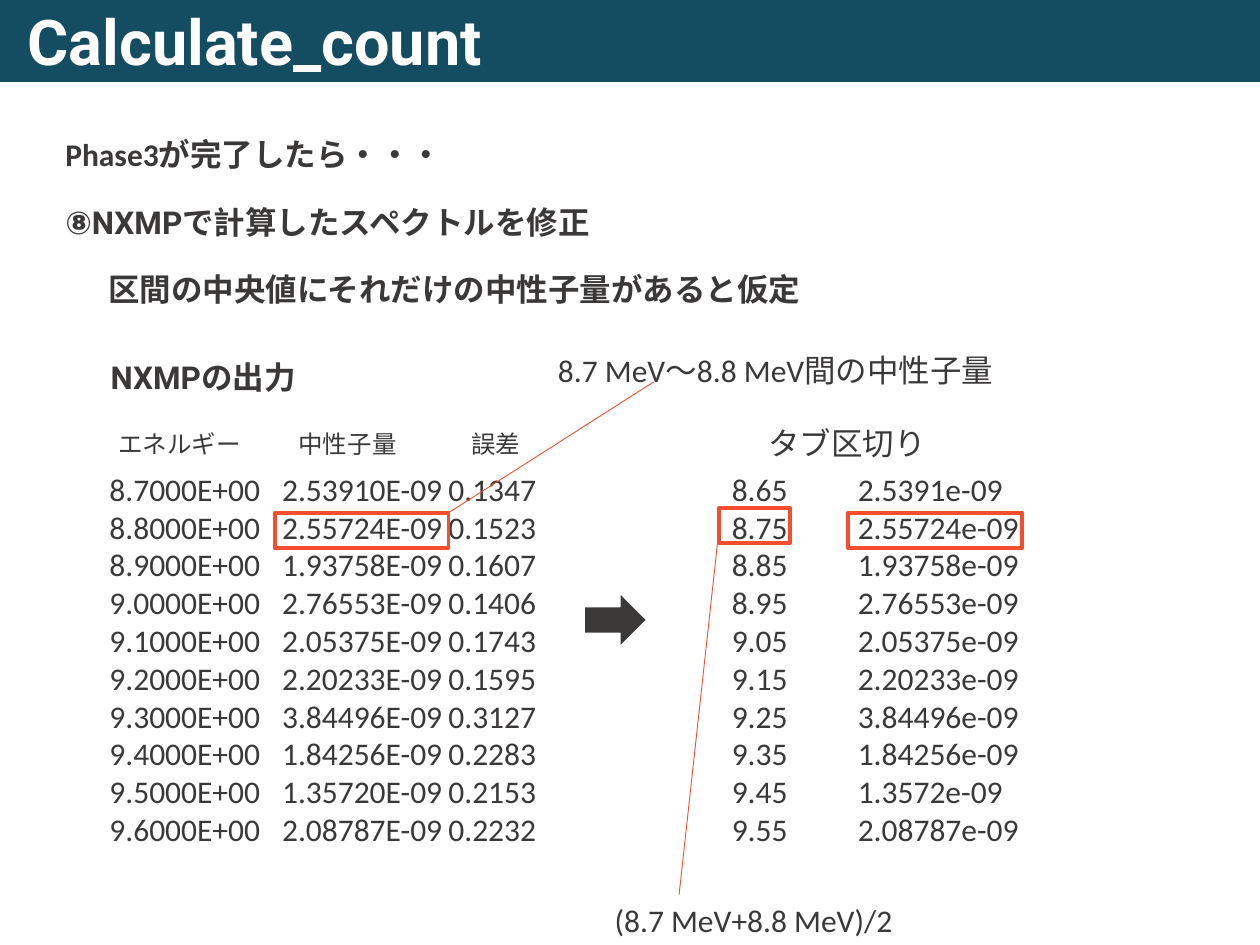
from lxml.etree import SubElement
from pptx import Presentation
from pptx.dml.color import RGBColor
from pptx.enum.shapes import MSO_CONNECTOR, MSO_SHAPE
from pptx.enum.text import MSO_ANCHOR, MSO_AUTO_SIZE, PP_ALIGN
from pptx.oxml.ns import qn
from pptx.util import Inches, Pt

# The grid has 100 columns and 75 rows on a 10 by 7.5 inch slide.
WIDTH, HEIGHT = Inches(10), Inches(7.5)
COLUMN, ROW = WIDTH / 100, HEIGHT / 75
INK, RED, TEAL, WHITE = "3B3838", "F44E2E", "144C61", "FFFFFF"

OUTPUT_ROWS = [
    ("8.7000E+00", "2.53910E-09", "0.1347"),
    ("8.8000E+00", "2.55724E-09", "0.1523"),
    ("8.9000E+00", "1.93758E-09", "0.1607"),
    ("9.0000E+00", "2.76553E-09", "0.1406"),
    ("9.1000E+00", "2.05375E-09", "0.1743"),
    ("9.2000E+00", "2.20233E-09", "0.1595"),
    ("9.3000E+00", "3.84496E-09", "0.3127"),
    ("9.4000E+00", "1.84256E-09", "0.2283"),
    ("9.5000E+00", "1.35720E-09", "0.2153"),
    ("9.6000E+00", "2.08787E-09", "0.2232"),
]

# Text, left column, top row, width in columns, size, font, bold
LABELS = [
    ("Phase3が完了したら・・・", 4.2, 10.2, 33.5, 18, "Calibri", True),
    ("⑧NXMPで計算したスペクトルを修正", 4.2, 15.6, 44.9, 18, "Roboto", True),
    ("区間の中央値にそれだけの中性子量があると仮定", 7.6, 20.9, 57.6, 18, "Calibri", True),
    ("NXMPの出力", 7.8, 27.9, 17.1, 18, "Roboto", True),
    ("エネルギー", 8.4, 33.6, 11.8, 14, "Calibri", False),
    ("中性子量", 22.7, 33.6, 9.9, 14, "Calibri", False),
    ("誤差", 36.4, 33.6, 6, 14, "Calibri", False),
    ("8.7 MeV～8.8 MeV間の中性子量", 43.3, 27.4, 36.9, 18, "Calibri", False),
    ("タブ区切り", 60, 33.2, 14.6, 18, "Calibri", False),
    ("(8.7 MeV+8.8 MeV)/2", 47.8, 71, 24.3, 18, "Calibri", False),
]


def color(value):
    """Turn a hex string into a colour."""
    return RGBColor.from_string(value)


def place(left, top, width, height):
    """Turn grid columns and rows into slide lengths."""
    return [round(left * COLUMN), round(top * ROW),
            round(width * COLUMN), round(height * ROW)]


def format_text(frame, size, font, bold=False, ink=INK):
    """Give every run in a text frame the same look."""
    for para in frame.paragraphs:
        for span in para.runs:
            span.font.size = Pt(size)
            span.font.name = font
            span.font.bold = bold
            span.font.color.rgb = color(ink)


def add_text(page, text, left, top, width, size, font, bold=False, height=4):
    """Add a wrapping text box."""
    box = page.shapes.add_textbox(*place(left, top, width, height))
    frame = box.text_frame
    frame.word_wrap = True
    frame.text = text
    format_text(frame, size, font, bold)
    return box


def add_columns(page, rows, left, width, stops):
    """Add rows of numbers lined up on tab stops given in grid columns."""
    text = "\n".join("\t".join(row) for row in rows)
    box = add_text(page, text, left, 36.8, width, 18, "Calibri", height=31.3)
    for para in box.text_frame.paragraphs:
        tabs = SubElement(para._p.get_or_add_pPr(), qn("a:tabLst"))
        for stop in stops:
            SubElement(tabs, qn("a:tab"), pos=str(round(stop * COLUMN)), algn="l")


def add_block(page, kind, area, fill=None, line=None, weight=1):
    """Add a preset shape with an optional fill and outline."""
    block = page.shapes.add_shape(kind, *place(*area))
    block.shadow.inherit = False
    if fill:
        block.fill.solid()
        block.fill.fore_color.rgb = color(fill)
    else:
        block.fill.background()
    if line:
        block.line.color.rgb = color(line)
        block.line.width = Pt(weight)
    else:
        block.line.fill.background()
    return block


def add_leader(page, start, end):
    """Add a thin line from a marked value to its explanation."""
    leader = page.shapes.add_connector(
        MSO_CONNECTOR.STRAIGHT, *place(*start, *end))
    leader.line.color.rgb = color(RED)
    leader.line.width = Pt(0.5)
    SubElement(leader._element.spPr, qn("a:effectLst"))


def add_title(page, text):
    """Set the title on a coloured band."""
    title = page.shapes.title
    band = add_block(page, MSO_SHAPE.RECTANGLE, (0, 0, 100, 6.5), TEAL)
    title.element.addprevious(band.element)
    title.left, title.top, title.width, title.height = place(1.2, 0.4, 64.2, 5.2)
    frame = title.text_frame
    frame.text = text
    frame.auto_size = MSO_AUTO_SIZE.NONE
    frame.vertical_anchor = MSO_ANCHOR.TOP
    para = frame.paragraphs[0]
    para.alignment = PP_ALIGN.LEFT
    para.line_spacing = 0.9
    para.space_before = Pt(10)
    format_text(frame, 36, "Roboto", True, WHITE)


def main():
    """Build the slide and save it."""
    deck = Presentation()
    deck.slide_width, deck.slide_height = WIDTH, HEIGHT
    page = deck.slides.add_slide(deck.slide_layouts[5])
    add_title(page, "Calculate_count")
    for label in LABELS:
        add_text(page, *label)

    # Each energy becomes the middle of its 0.1 MeV interval.
    tab_rows = [(f"{float(energy) - 0.05:.2f}", str(float(count)))
                for energy, count, error in OUTPUT_ROWS]
    add_columns(page, OUTPUT_ROWS, 7.7, 47.8, [13.7, 26.9])
    add_columns(page, tab_rows, 57.1, 42, [10])

    arrow = add_block(page, MSO_SHAPE.DOWN_ARROW, (46.7, 46.7, 4.3, 5), INK, WHITE)
    arrow.rotation = 270
    for area in [(21.8, 40.7, 13.8, 2.8), (67.3, 40.7, 13.8, 2.8),
                 (57.1, 40.3, 5.6, 2.8)]:
        add_block(page, MSO_SHAPE.RECTANGLE, area, line=RED, weight=2.25)
    add_leader(page, (35.6, 40.7), (51.9, 30.3))
    add_leader(page, (53.9, 71), (57.1, 41.7))
    deck.save("out.pptx")


main()
